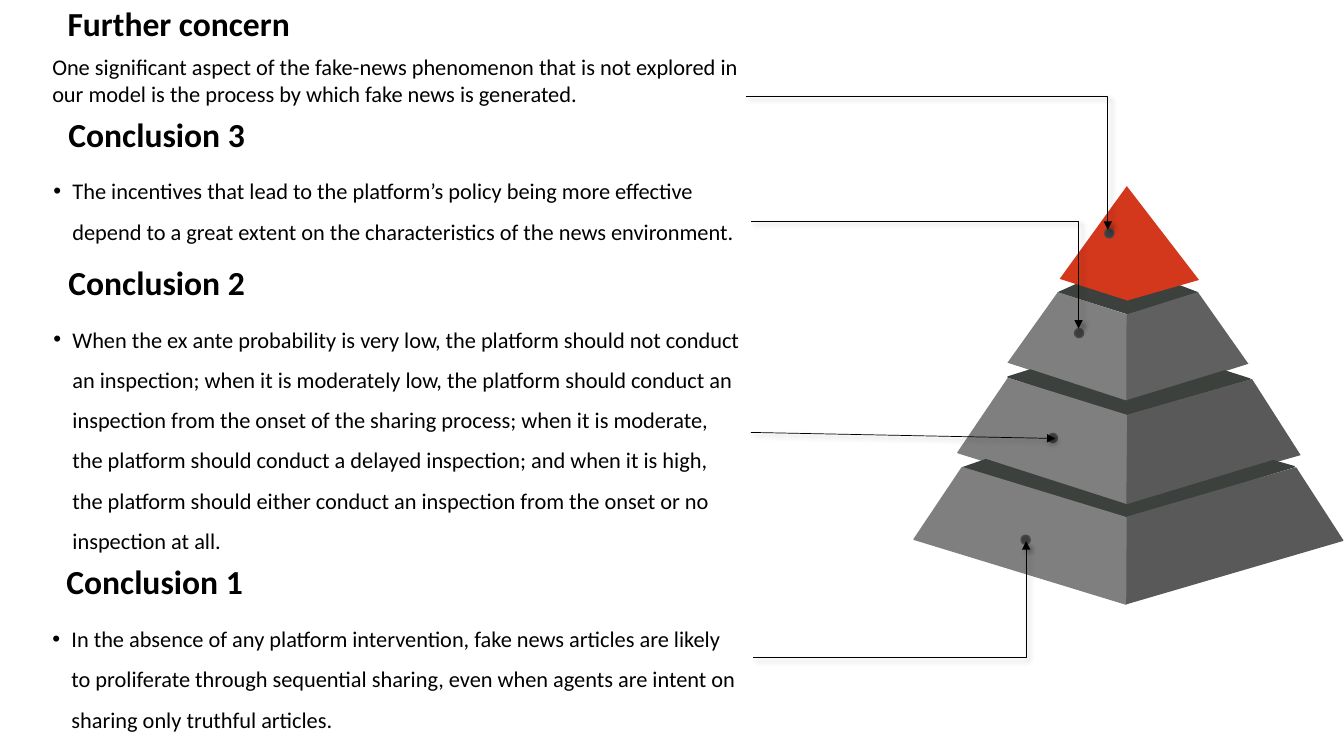
from lxml import etree
from pptx import Presentation
from pptx.dml.color import RGBColor
from pptx.enum.shapes import MSO_CONNECTOR, MSO_SHAPE
from pptx.enum.text import MSO_ANCHOR, MSO_AUTO_SIZE, PP_ALIGN
from pptx.oxml import parse_xml
from pptx.oxml.ns import nsdecls, qn
from pptx.util import Inches, Pt

TRIANGLE = MSO_SHAPE.ISOSCELES_TRIANGLE
TRAPEZOID = MSO_SHAPE.TRAPEZOID
OVAL = MSO_SHAPE.OVAL
STRAIGHT, ELBOW = MSO_CONNECTOR.STRAIGHT, MSO_CONNECTOR.ELBOW
LEFT = PP_ALIGN.LEFT
TOP, BOTTOM = MSO_ANCHOR.TOP, MSO_ANCHOR.BOTTOM
NO_FIT = MSO_AUTO_SIZE.NONE

BLACK = RGBColor(0x00, 0x00, 0x00)
RED = RGBColor(0xD3, 0x38, 0x1C)
LID = RGBColor(0x3C, 0x41, 0x3D)
LIGHT = RGBColor(0x7F, 0x7F, 0x7F)
MIDDLE = RGBColor(0x60, 0x60, 0x60)
DARK = RGBColor(0x59, 0x59, 0x59)
DOT = RGBColor(0x3D, 0x3D, 0x3D)
DOT_LINE = RGBColor(0x48, 0x48, 0x48)

COLUMNS, ROWS, CELL = 133.33, 75, 0.1
FONT = "Calibri"
DOT_SIZE = 0.9
HEADING_SIZE = (61.8, 4.8)
BODY_WIDTH = 70.1

SECTIONS = [
    ("Further concern", 5.7, 0, 4.2, 9.5, False,
     "One significant aspect of the fake-news phenomenon that is not explored in "
     "our model is the process by which fake news is generated."),
    ("Conclusion 3", 5.8, 11, 4.3, 12.4, True,
     "The incentives that lead to the platform’s policy being more effective "
     "depend to a great extent on the characteristics of the news environment."),
    ("Conclusion 2", 5.8, 25.7, 4.3, 25.3, True,
     "When the ex ante probability is very low, the platform should not conduct "
     "an inspection; when it is moderately low, the platform should conduct an "
     "inspection from the onset of the sharing process; when it is moderate, "
     "the platform should conduct a delayed inspection; and when it is high, "
     "the platform should either conduct an inspection from the onset or no "
     "inspection at all."),
    ("Conclusion 1", 5.6, 55.4, 4.2, 9.5, True,
     "In the absence of any platform intervention, fake news articles are likely "
     "to proliferate through sequential sharing, even when agents are intent on "
     "sharing only truthful articles."),
]

LIDS = [
    [(106.9, 28.1), (104.9, 29), (111.9, 31.2), (118.9, 29), (116.8, 28.2), (111.9, 29.7)],
    None,
    [(100, 37.4), (111.6, 41.2), (124, 37.6), (121.5, 36.8), (111.7, 39.8), (102.2, 36.7)],
    [(97.8, 45.6), (95.5, 46.4), (111.7, 51.4), (128.4, 46.3), (126.3, 45.7), (111.8, 50.1)],
]
FACES = [
    [(TRIANGLE, (106.6, 18.2, 7.1, 10.8), 17.7, 0.5, RED, None),
     (TRIANGLE, (110.2, 18.1, 7.4, 10.9), -15.9, 0.415, RED, None)],
    [(TRAPEZOID, (100.9, 29.9, 12.5, 8.2), 17.9, 0.318, LIGHT, None),
     (TRAPEZOID, (110.2, 29.9, 12.7, 8.3), -17.5, 0.318, MIDDLE, None)],
    [(TRAPEZOID, (95.9, 39.2, 17.5, 8.5), 17.3, 0.302, LIGHT, LIGHT),
     (TRAPEZOID, (110.2, 39.2, 18, 8.6), -16, 0.298, DARK, None)],
    [(TRAPEZOID, (91.4, 48.7, 22, 8.2), 17, 0.302, LIGHT, LIGHT),
     (TRAPEZOID, (110.2, 48.7, 22.3, 8.2), -16.3, 0.298, DARK, DARK)],
]
DOTS = [(109.6, 22.7), (106.6, 32.6), (104, 43), (101.3, 53.1)]
ARROWS = [
    (ELBOW, (74, 9.6), (109.9, 22.8)),
    (ELBOW, (74.5, 22), (107, 32.6)),
    (STRAIGHT, (74.5, 42.9), (104.7, 43.5)),
    (ELBOW, (74.7, 65.2), (101.8, 53.7)),
]


def cells(*values):
    return [Inches(value * CELL) for value in values]


class PyramidSlide:
    """Draws text, pyramid faces, dots and arrows on a grid of tenth-inch cells."""

    def __init__(self, presentation):
        presentation.slide_width, presentation.slide_height = cells(COLUMNS, ROWS)
        self.slide = presentation.slides.add_slide(presentation.slide_layouts[5])
        self.shapes = self.slide.shapes
        self.pyramid = self.shapes.add_group_shape().shapes

    def paint(self, shape, fill, line):
        shape.shadow.inherit = False
        shape.fill.solid()
        shape.fill.fore_color.rgb = fill
        if line is None:
            shape.line.fill.background()
        else:
            shape.line.color.rgb = line
            shape.line.width = Pt(1)

    def lid(self, points, line):
        corners = [cells(*point) for point in points]
        builder = self.pyramid.build_freeform(*corners[0], scale=1.0)
        builder.add_line_segments(corners[1:], close=True)
        self.paint(builder.convert_to_shape(), LID, line)

    def face(self, kind, box, rotation, adjustment, fill, line):
        shape = self.pyramid.add_shape(kind, *cells(*box))
        shape.rotation = rotation
        shape.adjustments[0] = adjustment
        self.paint(shape, fill, line)

    def dot(self, left, top):
        shape = self.shapes.add_shape(OVAL, *cells(left, top, DOT_SIZE, DOT_SIZE))
        self.paint(shape, DOT, DOT_LINE)

    def set_text(self, shape, text, size, bold, anchor, spacing, bullet=False):
        frame = shape.text_frame
        frame.word_wrap = True
        frame.auto_size = NO_FIT
        frame.vertical_anchor = anchor
        paragraph = frame.paragraphs[0]
        if bullet:
            properties = paragraph._p.get_or_add_pPr()
            properties.set("marL", str(Inches(0.19)))
            properties.set("indent", str(-Inches(0.19)))
            etree.SubElement(properties, qn("a:buFont"), typeface="Arial")
            etree.SubElement(properties, qn("a:buChar"), char="•")
        paragraph.alignment = LEFT
        paragraph.line_spacing = spacing
        run = paragraph.add_run()
        run.text = text
        run.font.name = FONT
        run.font.size = Pt(size)
        run.font.bold = bold
        run.font.color.rgb = BLACK

    def title(self, text, left, top):
        shape = self.shapes.title
        shape.left, shape.top, shape.width, shape.height = cells(left, top, *HEADING_SIZE)
        self.set_text(shape, text, 24, True, BOTTOM, 0.9)

    def heading(self, text, left, top):
        shape = self.shapes.add_textbox(*cells(left, top, *HEADING_SIZE))
        self.set_text(shape, text, 24, True, BOTTOM, 0.9)

    def body(self, text, left, top, height, bullet):
        shape = self.shapes.add_textbox(*cells(left, top, BODY_WIDTH, height))
        self.set_text(shape, text, 16, False, TOP, 1.5 if bullet else 1.0, bullet)

    def arrow(self, kind, start, end):
        connector = self.shapes.add_connector(kind, *cells(*start, *end))
        connector.line.color.rgb = BLACK
        connector.line.width = Pt(0.5)
        properties = connector._element.spPr
        if kind == ELBOW:
            properties.find(qn("a:prstGeom")).set("prst", "bentConnector2")
        etree.SubElement(properties.find(qn("a:ln")), qn("a:tailEnd"), type="triangle")
        properties.append(parse_xml(
            f'<a:effectLst {nsdecls("a")}>'
            f'<a:outerShdw blurRad="{Pt(4)}" dist="{Pt(3)}" dir="2700000">'
            '<a:srgbClr val="000000"><a:alpha val="40000"/></a:srgbClr>'
            '</a:outerShdw></a:effectLst>'))


def main():
    presentation = Presentation()
    slide = PyramidSlide(presentation)
    for tier, (lid, faces) in enumerate(zip(LIDS, FACES)):
        if lid:
            slide.lid(lid, LID if tier else None)
        for face in faces:
            slide.face(*face)
    for dot in DOTS:
        slide.dot(*dot)
    for index, (name, left, top, body_left, height, bullet, text) in enumerate(SECTIONS):
        add_name = slide.heading if index else slide.title
        add_name(name, left, top)
        slide.body(text, body_left, top + HEADING_SIZE[1], height, bullet)
    for arrow in ARROWS:
        slide.arrow(*arrow)
    presentation.save("out.pptx")


if __name__ == "__main__":
    main()
